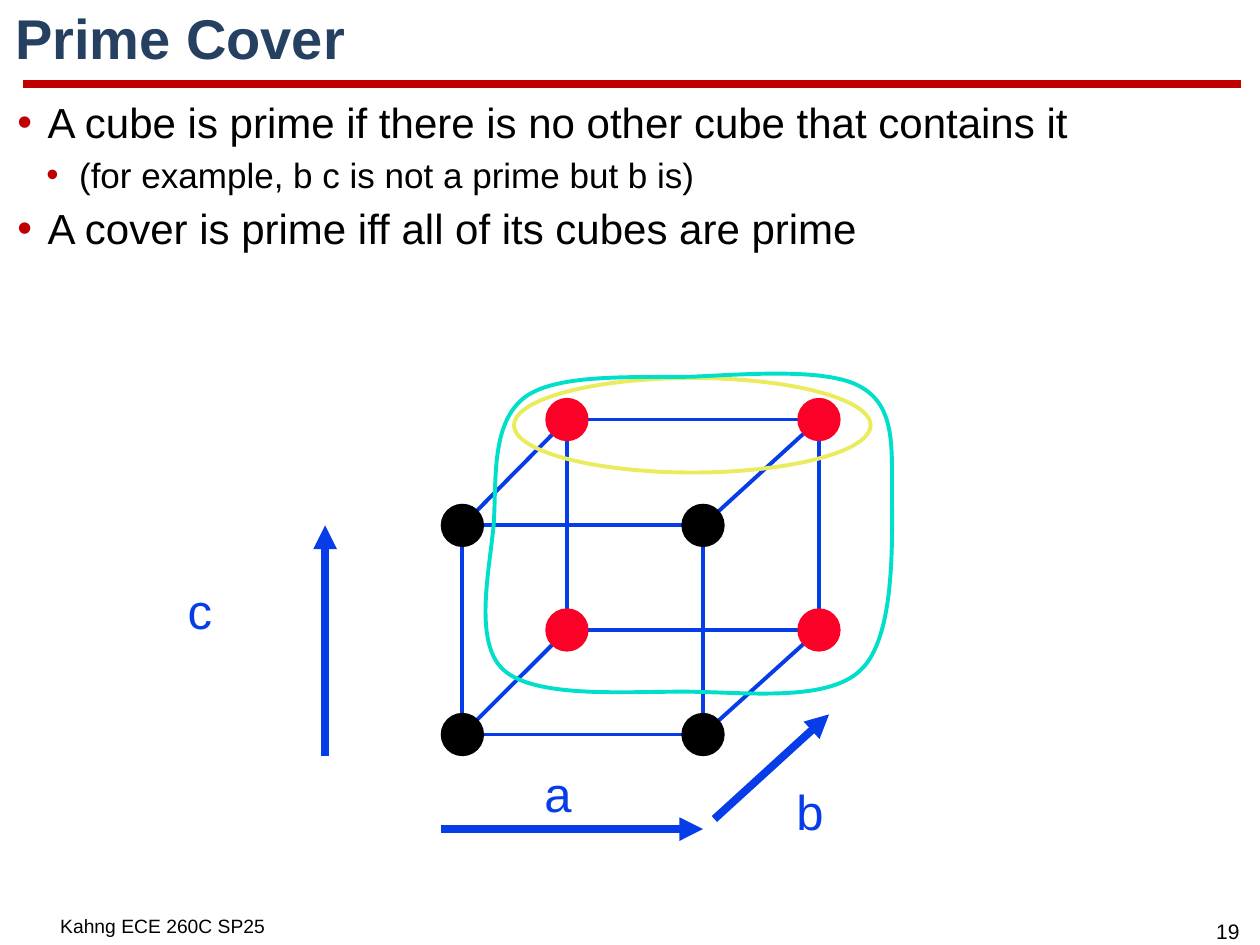
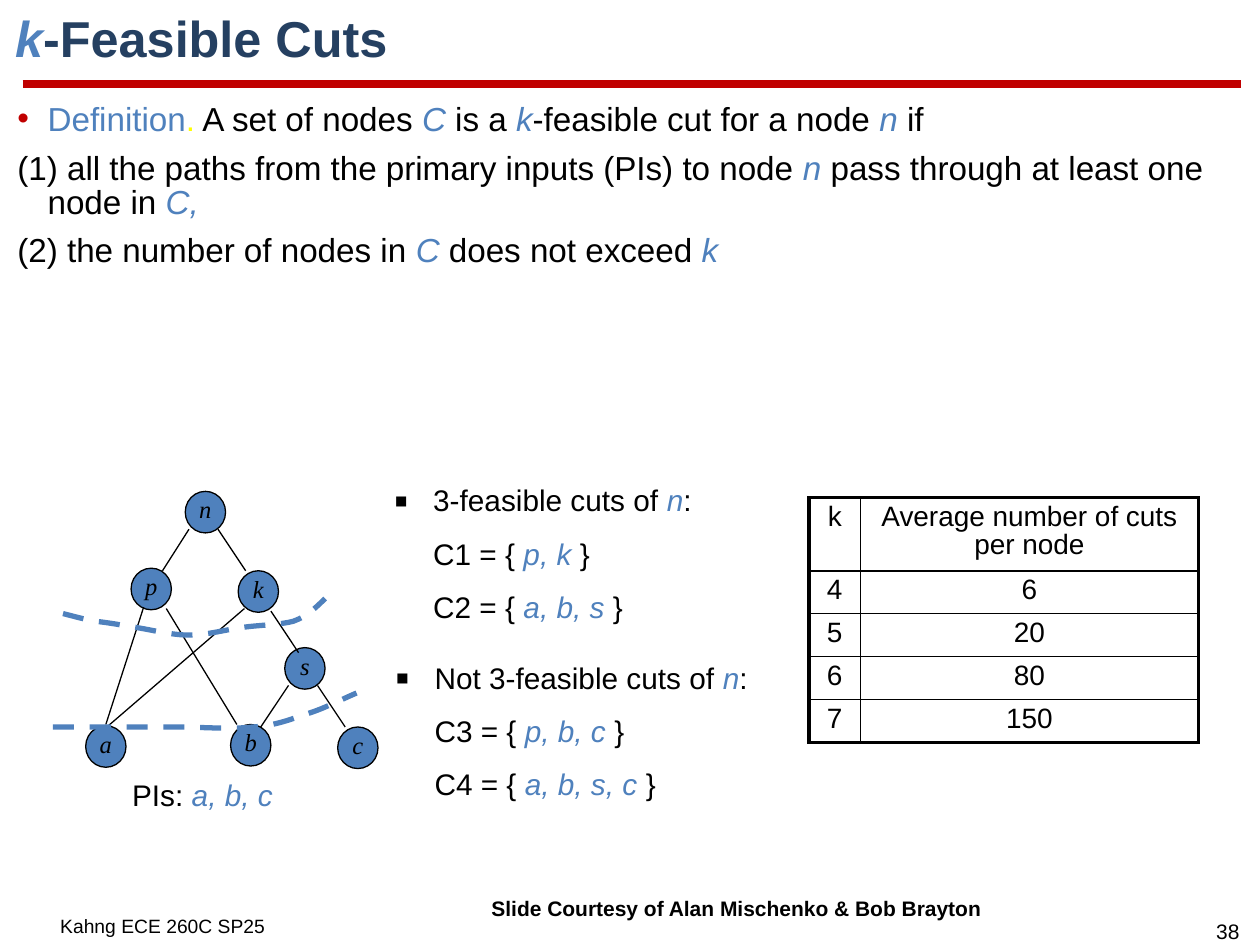
from itertools import product

from lxml.etree import SubElement
from pptx import Presentation
from pptx.dml.color import RGBColor
from pptx.enum.dml import MSO_LINE
from pptx.enum.shapes import MSO_CONNECTOR, MSO_SHAPE
from pptx.enum.text import MSO_ANCHOR, MSO_AUTO_SIZE, PP_ALIGN
from pptx.oxml.ns import qn
from pptx.util import Inches, Pt

BLACK = RGBColor(0x00, 0x00, 0x00)
NAVY = RGBColor(0x25, 0x40, 0x61)
DARK_RED = RGBColor(0xC0, 0x00, 0x00)
STEEL = RGBColor(0x4F, 0x81, 0xBD)
BLUE = RGBColor(0x06, 0x3D, 0xE8)
RED = RGBColor(0xFC, 0x01, 0x28)
LEMON = RGBColor(0xEA, 0xEC, 0x5E)
YELLOW = RGBColor(0xFF, 0xFF, 0x00)
TURQUOISE = RGBColor(0x00, 0xDF, 0xCA)

FOOTER = "Kahng ECE 260C SP25"
BODY_BOX = (0.02, 0.78, 9.83, 6.22)


def var(text, color=STEEL, italic=True):
    """Return a run that stands out from the plain text around it."""
    return text, color, italic


def write_runs(paragraph, runs, size, color=BLACK, bold=False, font="Arial"):
    """Add plain strings and emphasised runs to a paragraph."""
    for item in runs:
        text, run_color, italic = (item, color, False) if isinstance(item, str) else item
        run = paragraph.add_run()
        run.text = text
        run.font.name = font
        run.font.size = Pt(size)
        run.font.bold = bold
        run.font.italic = italic
        run.font.color.rgb = run_color


def indent(paragraph, left, hanging):
    """Set the left margin and first-line offset of a paragraph."""
    properties = paragraph._p.get_or_add_pPr()
    properties.set("marL", str(Inches(left)))
    properties.set("indent", str(Inches(hanging)))


def add_bullet(paragraph, mark, color, percent=100):
    """Give a paragraph a coloured bullet."""
    properties = paragraph._p.get_or_add_pPr()
    bullet_color = SubElement(properties, qn("a:buClr"))
    SubElement(bullet_color, qn("a:srgbClr"), val=str(color))
    SubElement(properties, qn("a:buSzPct"), val=str(percent * 1000))
    SubElement(properties, qn("a:buFont"), typeface="Arial")
    SubElement(properties, qn("a:buChar"), char=mark)


def add_frame(slide, box, inset=(0.1, 0.05)):
    """Add an empty wrapping text box and return its frame."""
    frame = slide.shapes.add_textbox(*map(Inches, box)).text_frame
    frame.word_wrap = True
    frame.margin_left = frame.margin_right = Inches(inset[0])
    frame.margin_top = frame.margin_bottom = Inches(inset[1])
    return frame


def add_label(slide, box, text, size, color=BLACK, bold=False, inset=(0.07, 0.03)):
    """Add a text box of one line."""
    paragraph = add_frame(slide, box, inset).paragraphs[0]
    write_runs(paragraph, [text], size, color, bold)
    return paragraph


def next_paragraph(frame, position, spacing, before):
    """Return the paragraph at a position with its spacing set."""
    paragraph = frame.add_paragraph() if position else frame.paragraphs[0]
    paragraph.line_spacing = spacing
    paragraph.space_before = Pt(before)
    return paragraph


def add_body(slide, items):
    """Add the main text from (level, bulleted, size, runs) items."""
    frame = add_frame(slide, BODY_BOX)
    for position, (level, bulleted, size, runs) in enumerate(items):
        paragraph = next_paragraph(frame, position, 0.85, 7.2 if level else 8.4)
        paragraph.level = level
        indent(paragraph, *((0.51, -0.26) if level else (0.26, -0.24)))
        if bulleted:
            add_bullet(paragraph, "•", DARK_RED)
        write_runs(paragraph, runs, size)


def add_cut_list(slide, box, heading, cuts):
    """Add a bulleted heading with cut sets below it."""
    frame = add_frame(slide, box)
    sets = [[f"{name} = {{ ", var(nodes), " }"] for name, nodes in cuts]
    for position, runs in enumerate([[heading, var("n"), ":"], *sets]):
        paragraph = next_paragraph(frame, position, 0.9, 12)
        indent(paragraph, 0.31, 0 if position else -0.31)
        if position == 0:
            add_bullet(paragraph, "▪", BLACK, 135)
        write_runs(paragraph, runs, 17)


def add_line(slide, start, end, color, width, arrow=False):
    """Add a straight line, with an arrowhead at its end if asked."""
    line = slide.shapes.add_connector(
        MSO_CONNECTOR.STRAIGHT, *map(Inches, (*start, *end)))
    line.line.color.rgb = color
    line.line.width = Pt(width)
    if arrow:
        SubElement(line.line._get_or_add_ln(), qn("a:tailEnd"), type="triangle")
    SubElement(line._element.spPr, qn("a:effectLst"))


def style_outline(shape, color, width, fill=None):
    """Set a shape's outline and optional fill, without a shadow."""
    shape.shadow.inherit = False
    shape.line.color.rgb = color
    shape.line.width = Pt(width)
    if fill is None:
        shape.fill.background()
    else:
        shape.fill.solid()
        shape.fill.fore_color.rgb = fill


def add_figure(slide, preset, box, color, width, fill=None):
    """Add an outlined preset shape."""
    figure = slide.shapes.add_shape(preset, *map(Inches, box))
    style_outline(figure, color, width, fill)
    return figure


def add_curve(slide, start, controls, color, width, closed=False):
    """Add a smooth outline from a start and Bezier control points."""
    builder = slide.shapes.build_freeform(*map(Inches, start))
    points = [(Inches(x), Inches(y)) for x, y in controls]
    builder.add_line_segments(points, close=closed)
    curve = builder.convert_to_shape()
    steps = curve._element.xpath(".//a:lnTo")
    for first in range(0, len(steps), 3):
        bezier = steps[first]
        bezier.tag = qn("a:cubicBezTo")
        for step in steps[first + 1:first + 3]:
            bezier.append(step[0])
            step.getparent().remove(step)
    style_outline(curve, color, width)
    return curve


def add_titled_slide(deck, title_runs, title_size, number):
    """Add a slide with its title, red rule, footer and number."""
    slide = deck.slides.add_slide(deck.slide_layouts[5])
    title = slide.shapes.title
    title.left, title.top, title.width, title.height = map(Inches, (0.02, 0.08, 9.93, 0.49))
    frame = title.text_frame
    frame.auto_size = MSO_AUTO_SIZE.NONE
    frame.vertical_anchor = MSO_ANCHOR.MIDDLE
    heading = frame.paragraphs[0]
    heading.alignment = PP_ALIGN.LEFT
    heading.line_spacing = 0.9
    write_runs(heading, title_runs, title_size, NAVY, bold=True)
    add_line(slide, (0.18, 0.67), (9.85, 0.67), DARK_RED, 4.5)
    add_label(slide, (0.38, 7.21, 1.87, 0.27), FOOTER, 11, inset=(0.1, 0.05))
    page = add_label(slide, (9.5, 7.24, 0.49, 0.3), str(number), 12, inset=(0.1, 0.05))
    page.alignment = PP_ALIGN.CENTER
    return slide


def add_cell_borders(cell, widths):
    """Draw the left, right, top and bottom borders of a cell."""
    properties = cell._tc.get_or_add_tcPr()
    for side, width in zip("LRTB", widths):
        border = SubElement(properties, qn(f"a:ln{side}"), w=str(Pt(width)))
        fill = SubElement(border, qn("a:solidFill"))
        SubElement(fill, qn("a:srgbClr"), val=str(BLACK))


def add_cut_table(slide):
    """Add the table of average cut counts."""
    rows = [("k", "Average number of cuts per node"),
            ("4", "6"), ("5", "20"), ("6", "80"), ("7", "150")]
    table = slide.shapes.add_table(
        len(rows), 2, *map(Inches, (6.42, 3.95, 3.08, 1.94))).table
    table.first_row = table.horz_banding = False
    for column, width in zip(table.columns, (0.41, 2.68)):
        column.width = Inches(width)
    last = len(rows) - 1
    for r, values in enumerate(rows):
        table.rows[r].height = Inches(0.34 if r else 0.58)
        for c, value in enumerate(values):
            cell = table.cell(r, c)
            paragraph = cell.text_frame.paragraphs[0]
            paragraph.alignment = PP_ALIGN.CENTER
            paragraph.line_spacing = 0.9
            write_runs(paragraph, [value], 16)
            outer = (c == 0, c == 1, r == 0, r == last)
            add_cell_borders(cell, [2.25 if edge else 1 for edge in outer])
            cell.fill.background()


def add_cube(slide):
    """Draw the Boolean cube with its vertices and covers."""
    front_x, back_x = (3.67, 5.58), (4.5, 6.5)
    front_y, back_y = (4.17, 5.83), (3.33, 5)
    for xs, ys in ((front_x, front_y), (back_x, back_y)):
        face = (xs[0], ys[0], xs[1] - xs[0], ys[1] - ys[0])
        add_figure(slide, MSO_SHAPE.RECTANGLE, face, BLUE, 2.25)
    for (x1, x2), (y1, y2) in product(zip(front_x, back_x), zip(front_y, back_y)):
        add_line(slide, (x1, y1), (x2, y2), BLUE, 2.25)
    for xs, ys, color in ((front_x, front_y, BLACK), (back_x, back_y, RED)):
        for x, y in product(xs, ys):
            vertex = (x - 0.165, y - 0.165, 0.33, 0.33)
            add_figure(slide, MSO_SHAPE.OVAL, vertex, color, 1, color)
    add_figure(slide, MSO_SHAPE.OVAL, (4.08, 3, 2.83, 0.75), LEMON, 2.25)
    add_curve(slide, (4, 5.32), [
        (4.25, 5.54), (4.94, 5.49), (5.42, 5.49), (5.89, 5.49), (6.56, 5.58), (6.83, 5.32),
        (7.11, 5.06), (7.08, 4.28), (7.08, 3.9), (7.08, 3.53), (7.1, 3.22), (6.83, 3.07),
        (6.57, 2.92), (5.94, 2.97), (5.5, 2.99), (5.06, 3), (4.43, 2.96), (4.17, 3.15),
        (3.9, 3.35), (3.94, 3.79), (3.92, 4.15), (3.89, 4.51), (3.75, 5.1), (4, 5.32),
    ], TURQUOISE, 2.25, closed=True)


def add_axes(slide):
    """Draw the three labelled axis arrows."""
    for name, corner, start, end in (
            ("a", (4.25, 6.03), (3.5, 6.58), (5.58, 6.58)),
            ("b", (6.25, 6.17), (5.67, 6.5), (6.58, 5.67)),
            ("c", (1.42, 4.58), (2.58, 6), (2.58, 4.17))):
        add_line(slide, start, end, BLUE, 4.5, arrow=True)
        add_label(slide, (*corner, 0.5, 0.52), name, 28, BLUE)


def add_network(slide):
    """Draw the node network and its two dashed cuts."""
    nodes = {"n": (1.47, 3.9), "p": (1.04, 4.51), "k": (1.89, 4.53), "s": (2.26, 5.14),
             "a": (0.68, 5.76), "b": (1.83, 5.75), "c": (2.68, 5.77)}
    for name, corner in nodes.items():
        node = add_figure(slide, MSO_SHAPE.OVAL, (*corner, 0.32, 0.33), BLACK, 0.75, STEEL)
        frame = node.text_frame
        frame.word_wrap = False
        frame.vertical_anchor = MSO_ANCHOR.MIDDLE
        frame.margin_left = frame.margin_right = frame.margin_top = 0
        frame.margin_bottom = Inches(0.05)
        frame.paragraphs[0].alignment = PP_ALIGN.CENTER
        write_runs(frame.paragraphs[0], [var(name, BLACK)], 14, font="Times New Roman")
    for start, end in (
            ((1.5, 4.2), (1.29, 4.53)), ((1.73, 4.2), (1.95, 4.53)),
            ((1.14, 4.82), (0.84, 5.75)), ((1.32, 4.83), (1.88, 5.75)),
            ((2.29, 5.44), (2.07, 5.77)), ((2.52, 5.44), (2.74, 5.77)),
            ((2.15, 4.85), (2.37, 5.18)), ((1.94, 4.83), (0.86, 5.76))):
        add_line(slide, start, end, BLACK, 0.75)
    upper_cut = [
        (0.58, 4.89), (0.65, 4.91), (0.75, 4.93), (0.85, 4.94), (0.96, 4.96), (1.08, 4.98),
        (1.21, 5), (1.36, 5.04), (1.5, 5.04), (1.64, 5.04), (1.78, 5), (1.92, 4.98),
        (2.06, 4.96), (2.22, 4.96), (2.33, 4.93), (2.44, 4.89), (2.51, 4.82), (2.58, 4.75)]
    lower_cut = [
        (0.75, 5.77), (1.08, 5.77), (1.42, 5.77), (1.6, 5.77), (1.83, 5.79), (2, 5.77),
        (2.17, 5.76), (2.28, 5.72), (2.42, 5.67), (2.56, 5.63), (2.69, 5.56), (2.83, 5.5)]
    for start, controls in (((0.5, 4.87), upper_cut), ((0.42, 5.77), lower_cut)):
        cut = add_curve(slide, start, controls, STEEL, 3)
        cut.line.dash_style = MSO_LINE.DASH
    inputs = add_frame(slide, (0.95, 6.15, 2.24, 0.5)).paragraphs[0]
    inputs.line_spacing = 0.9
    write_runs(inputs, ["PIs: ", var("a, b, c")], 17)


def build_prime_cover(deck):
    """Build the prime cover slide."""
    slide = add_titled_slide(deck, ["Prime Cover"], 32, 19)
    add_body(slide, [
        (0, True, 24, ["A cube is prime if there is no other cube that contains it"]),
        (1, True, 20, ["(for example, b c is not a prime but b is)"]),
        (0, True, 24, ["A cover is prime iff all of its cubes are prime"])])
    add_cube(slide)
    add_axes(slide)


def build_feasible_cuts(deck):
    """Build the k-feasible cuts slide."""
    slide = add_titled_slide(deck, [var("k"), "-Feasible Cuts"], 28.8, 38)
    add_body(slide, [
        (0, True, 19, [var("Definition", italic=False), var(".", YELLOW, False),
                       " A set of nodes ", var("C"), " is a ", var("k"),
                       "-feasible cut for a node ", var("n"), " if"]),
        (0, False, 19, ["(1) all the paths from the primary inputs (PIs) to node ", var("n"),
                        " pass through at least one node in ", var("C,")]),
        (0, False, 19, ["(2) the number of nodes in ", var("C"), " does not exceed ", var("k")])])
    add_cut_table(slide)
    add_cut_list(slide, (3.03, 3.81, 3.44, 1.71), "3-feasible cuts of ",
                 [("C1", "p, k"), ("C2", "a, b, s")])
    add_cut_list(slide, (3.04, 5.22, 3.75, 1.33), "Not 3-feasible cuts of ",
                 [("C3", "p, b, c"), ("C4", "a, b, s, c")])
    add_network(slide)
    add_label(slide, (3.83, 7.08, 4.08, 0.26),
              "Slide Courtesy of Alan Mischenko & Bob Brayton", 12, bold=True)


def main():
    """Build and save the deck."""
    deck = Presentation()
    deck.slide_width, deck.slide_height = Inches(10), Inches(7.5)
    build_prime_cover(deck)
    build_feasible_cuts(deck)
    deck.save("out.pptx")


if __name__ == "__main__":
    main()
